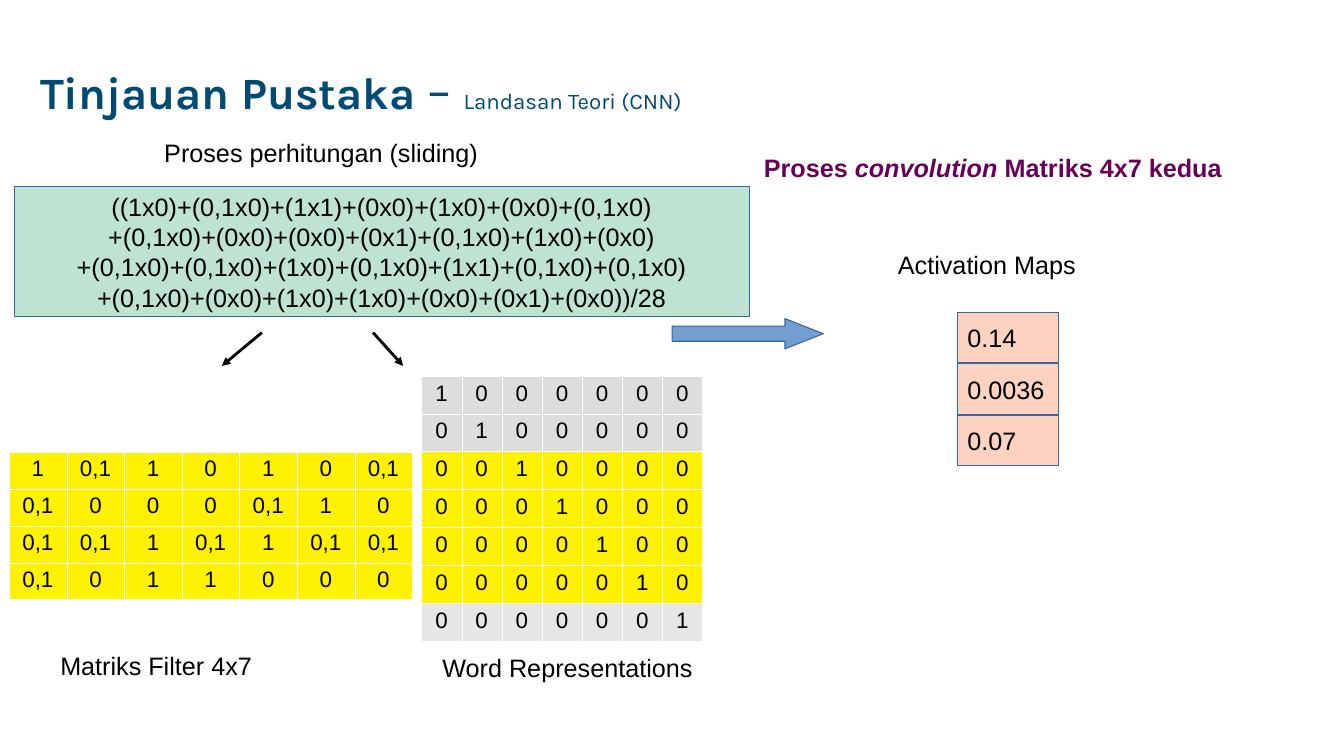
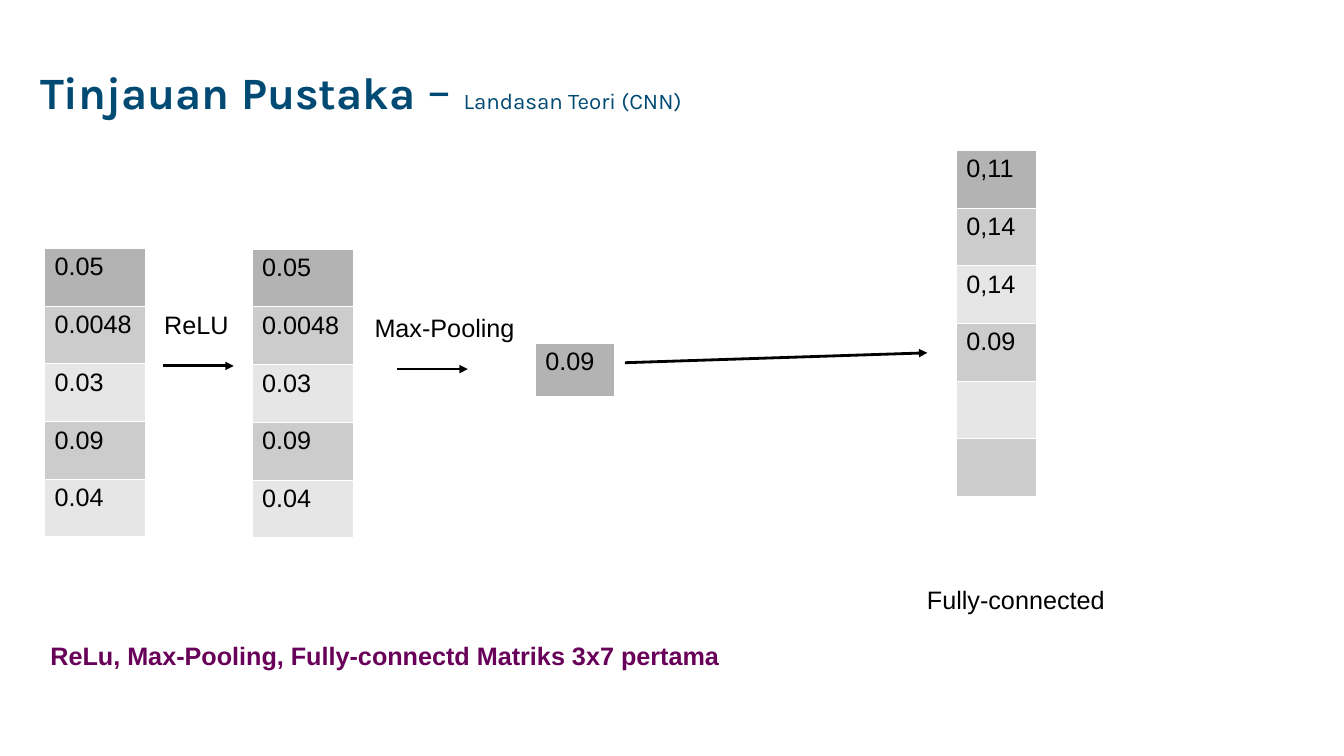
"""Build two slides on the convolution and pooling steps of a CNN."""
from itertools import cycle, islice

from lxml.etree import SubElement
from pptx import Presentation
from pptx.dml.color import RGBColor as RGB
from pptx.enum.shapes import MSO_CONNECTOR as CONN, MSO_SHAPE as SHAPE
from pptx.enum.text import MSO_ANCHOR as ANCHOR, PP_ALIGN as ALIGN
from pptx.oxml.ns import qn
from pptx.util import Cm, Pt

COLORS = {
    "title": "014A73", "heading": "680059", "text": "000000", "border": "FFFFFF",
    "outline": "3465A4", "formula": "BEE3D3", "arrow": "729FCF", "map": "FCD3C1",
    "window": "FFF200", "silver": "DDDDDD",
    "dark": "B3B3B3", "medium": "CCCCCC", "light": "E6E6E6",
}


def color(name):
    return RGB.from_string(COLORS[name])


class Deck:
    def __init__(self):
        self.prs = Presentation()
        self.prs.slide_width, self.prs.slide_height = Cm(33.87), Cm(19.05)
        self.shapes = None

    def style(self, r, size=18, name="text", font="Arial", bold=False, italic=False):
        r.font.size, r.font.name = Pt(size), font
        r.font.bold, r.font.italic = bold, italic
        r.font.color.rgb = color(name)

    def slide(self):
        s = self.prs.slides.add_slide(self.prs.slide_layouts[6])
        self.shapes = s.shapes
        title = {"name": "title", "font": "Karla"}
        tf = self.text(0.76, 0.51, 19.05, 3.68, [
            ("Tinjauan Pustaka", {"size": 32, "bold": True, **title}),
            (" – ", {"size": 36, **title}),
            ("Landasan Teori (CNN)", {"size": 16, **title}),
        ])
        tf.vertical_anchor = ANCHOR.MIDDLE
        tf.paragraphs[0].line_spacing = 0.9

    def text(self, x, y, w, h, runs):
        tf = self.shapes.add_textbox(Cm(x), Cm(y), Cm(w), Cm(h)).text_frame
        tf.word_wrap = True
        for text, look in runs:
            r = tf.paragraphs[0].add_run()
            r.text = text
            self.style(r, **look)
        return tf

    def label(self, x, y, w, text):
        self.text(x, y, w, 0.97, [(text, {})])

    def heading(self, x, y, w, *parts):
        look = {"name": "heading", "bold": True}
        self.text(x, y, w, 1.68, [(text, {**look, "italic": i}) for text, i in parts])

    def shape(self, kind, x, y, w, h, fill):
        sp = self.shapes.add_shape(kind, Cm(x), Cm(y), Cm(w), Cm(h))
        sp.shadow.inherit = False
        sp.fill.solid()
        sp.fill.fore_color.rgb = color(fill)
        sp.line.color.rgb = color("outline")
        sp.line.width = Pt(0.75)
        return sp

    def box(self, x, y, w, h, text, fill, align=ALIGN.LEFT):
        tf = self.shape(SHAPE.RECTANGLE, x, y, w, h, fill).text_frame
        tf.text = text
        tf.word_wrap = False
        tf.vertical_anchor = ANCHOR.MIDDLE
        for p in tf.paragraphs:
            p.alignment = align
            self.style(p.runs[0])

    def block_arrow(self, x, y, w, h):
        sp = self.shape(SHAPE.RIGHT_ARROW, x, y, w, h, "arrow")
        sp.adjustments[0], sp.adjustments[1] = 0.5, 1.27

    def arrow(self, x1, y1, x2, y2):
        c = self.shapes.add_connector(CONN.STRAIGHT, Cm(x1), Cm(y1), Cm(x2), Cm(y2))
        c.line.color.rgb = color("text")
        c.line.width = Pt(0)
        SubElement(c.line._get_or_add_ln(), qn("a:tailEnd"), type="triangle")
        SubElement(c._element.spPr, qn("a:effectLst"))

    def border(self, cell):
        tc_pr = cell._tc.get_or_add_tcPr()
        for side in ("lnL", "lnR", "lnT", "lnB"):
            ln = SubElement(tc_pr, qn(f"a:{side}"), w=str(Pt(0.06)))
            fill = SubElement(ln, qn("a:solidFill"))
            SubElement(fill, qn("a:srgbClr"), val=COLORS["border"])

    def table(self, x, y, w, h, rows, fills, size=18, align=ALIGN.LEFT):
        n, m = len(rows), len(rows[0])
        table = self.shapes.add_table(n, m, Cm(x), Cm(y), Cm(w), Cm(h)).table
        table.first_row = table.horz_banding = False
        for col in table.columns:
            col.width = Cm(w / m)
        for i, (values, fill) in enumerate(zip(rows, fills)):
            table.rows[i].height = Cm(h / n)
            for j, value in enumerate(values):
                cell = table.cell(i, j)
                self.border(cell)
                cell.fill.solid()
                cell.fill.fore_color.rgb = color(fill)
                p = cell.text_frame.paragraphs[0]
                p.text = value
                p.alignment = align
                for r in p.runs:
                    self.style(r, size)

    def matrix(self, x, y, w, h, rows, fills):
        self.table(x, y, w, h, rows, fills, 16, ALIGN.CENTER)

    def column(self, x, y, w, h, values):
        fills = ["dark", *islice(cycle(["medium", "light"]), len(values) - 1)]
        self.table(x, y, w, h, [[v] for v in values], fills)


def convolution(deck):
    deck.slide()
    identity = [["1" if i == j else "0" for j in range(7)] for i in range(7)]
    deck.matrix(10.62, 9.47, 7.09, 6.68, identity,
                ["silver"] * 2 + ["window"] * 4 + ["light"])
    weights = ["1 0,1 1 0 1 0 0,1", "0,1 0 0 0 0,1 1 0",
               "0,1 0,1 1 0,1 1 0,1 0,1", "0,1 0 1 1 0 0 0"]
    deck.matrix(0.23, 11.38, 10.16, 3.73, [row.split() for row in weights], ["window"] * 4)
    formula = [
        "((1x0)+(0,1x0)+(1x1)+(0x0)+(1x0)+(0x0)+(0,1x0)",
        "+(0,1x0)+(0x0)+(0x0)+(0x1)+(0,1x0)+(1x0)+(0x0)",
        "+(0,1x0)+(0,1x0)+(1x0)+(0,1x0)+(1x1)+(0,1x0)+(0,1x0)",
        "+(0,1x0)+(0x0)+(1x0)+(1x0)+(0x0)+(0x1)+(0x0))/28",
    ]
    deck.box(0.36, 4.7, 18.52, 3.28, "\n".join(formula), "formula", ALIGN.CENTER)
    deck.block_arrow(16.94, 8.03, 3.81, 0.76)
    for i, value in enumerate(["0.14", "0.0036", "0.07"]):
        deck.box(24.13, 7.87 + 1.3 * i, 2.54, 1.27, value, "map")
    deck.label(1.27, 16.26, 6.35, "Matriks Filter 4x7")
    deck.label(10.9, 16.31, 8.03, "Word Representations")
    deck.label(3.89, 3.33, 10.13, "Proses perhitungan (sliding)")
    deck.label(22.38, 6.15, 5.69, "Activation Maps")
    deck.arrow(6.6, 8.38, 5.59, 9.22)
    deck.arrow(9.4, 8.38, 10.16, 9.22)
    deck.heading(19, 3.71, 14.5, ("Proses ", False), ("convolution", True),
                 (" Matriks 4x7 kedua", False))


def pooling(deck):
    deck.slide()
    activations = ["0.05", "0.0048", "0.03", "0.09", "0.04"]
    deck.column(1.12, 6.25, 2.54, 7.27, activations)
    deck.label(3.89, 7.67, 2.46, "ReLU")
    deck.arrow(4.11, 9.22, 5.89, 9.22)
    deck.column(6.35, 6.27, 2.54, 7.27, activations)
    deck.label(9.19, 7.75, 4.8, "Max-Pooling")
    deck.arrow(10.01, 9.3, 11.79, 9.3)
    deck.column(13.49, 8.64, 1.98, 1.35, ["0.09"])
    deck.arrow(15.75, 9.14, 23.37, 8.89)
    deck.column(24.1, 3.78, 2.01, 8.72, ["0,11", "0,14", "0,14", "0.09", "", ""])
    deck.label(23.11, 14.61, 5.72, "Fully-connected")
    deck.heading(1.02, 16, 20.9,
                 ("ReLu, Max-Pooling, Fully-connectd Matriks 3x7 pertama", False))


def main():
    deck = Deck()
    convolution(deck)
    pooling(deck)
    deck.prs.save("out.pptx")


if __name__ == "__main__":
    main()
